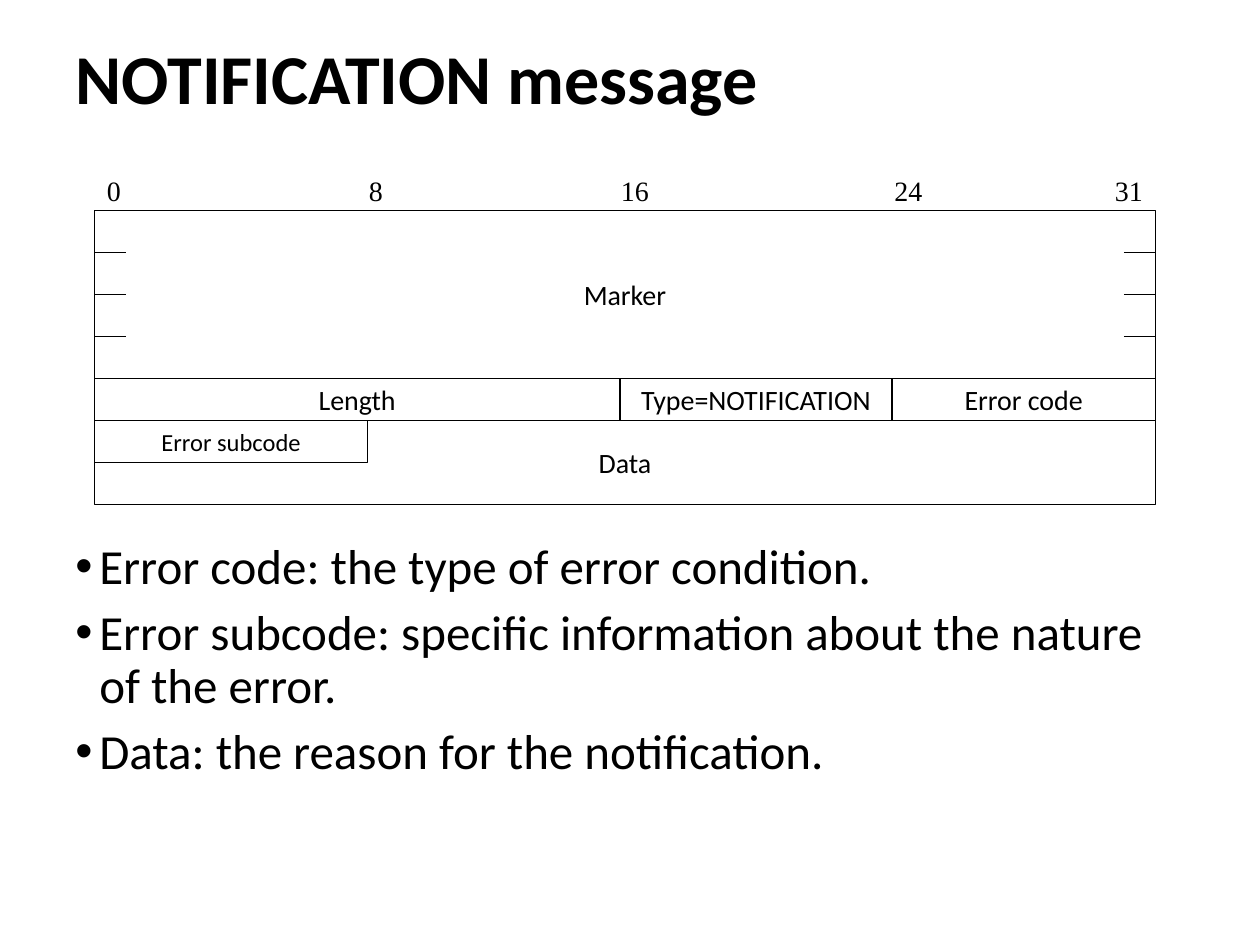
from lxml.etree import SubElement
from pptx import Presentation
from pptx.dml.color import RGBColor
from pptx.enum.shapes import MSO_CONNECTOR, MSO_SHAPE
from pptx.enum.text import MSO_ANCHOR, MSO_AUTO_SIZE, PP_ALIGN
from pptx.oxml.ns import qn
from pptx.util import Inches, Pt

BLACK = RGBColor(0, 0, 0)
BODY_FONT = "Calibri"
RULER_FONT = "Times New Roman"
LINE_WIDTH = Pt(0.75)

LEFT, RIGHT = 0.75, 9.17
TOP = 1.67
ROW = 1 / 3
TICK = 0.25

# Text, left edge, right edge, first row, rows, text size
FIELDS = [
    ("Marker", LEFT, RIGHT, 0, 4, 16),
    ("Length", LEFT, 4.92, 4, 1, 16),
    ("Type=NOTIFICATION", 4.92, 7.08, 4, 1, 16),
    ("Error code", 7.08, RIGHT, 4, 1, 16),
    ("Data", LEFT, RIGHT, 5, 2, 16),
    ("Error subcode", LEFT, 2.92, 5, 1, 14),
]
# Bit number, left edge, width
BIT_NUMBERS = [
    ("0", 0.75, 0.31),
    ("8", 2.83, 0.31),
    ("16", 4.83, 0.5),
    ("24", 7, 0.5),
    ("31", 8.75, 0.5),
]
EXPLANATIONS = [
    "Error code: the type of error condition.",
    "Error subcode: specific information about the nature of the error.",
    "Data: the reason for the notification.",
]


def apply(target, values):
    """Set each attribute named in a dict of format values."""
    for name, value in values.items():
        setattr(target, name, value)


def write(paragraph, text, size, font=BODY_FONT, bold=False, **layout):
    """Put formatted text into a paragraph."""
    run = paragraph.add_run()
    run.text = text
    apply(run.font, {"name": font, "size": Pt(size), "bold": bold})
    run.font.color.rgb = BLACK
    apply(paragraph, layout)


def add_title(slide, text):
    """Place and fill the title placeholder."""
    title = slide.shapes.title
    apply(title, {"left": Inches(0.5), "top": Inches(0.3),
                  "width": Inches(9), "height": Inches(1.25)})
    apply(title.text_frame, {"vertical_anchor": MSO_ANCHOR.TOP, "word_wrap": True,
                             "auto_size": MSO_AUTO_SIZE.NONE})
    write(title.text_frame.paragraphs[0], text, 40, bold=True,
          alignment=PP_ALIGN.LEFT, line_spacing=0.9)


def add_field(shapes, text, left, right, row, rows, size):
    """Draw one message field as an outlined box."""
    field = shapes.add_shape(
        MSO_SHAPE.RECTANGLE, Inches(left), Inches(TOP + row * ROW),
        Inches(right - left), Inches(rows * ROW))
    field.shadow.inherit = False
    field.fill.background()
    field.line.color.rgb = BLACK
    field.line.width = LINE_WIDTH
    apply(field.text_frame, {"word_wrap": False, "vertical_anchor": MSO_ANCHOR.MIDDLE})
    write(field.text_frame.paragraphs[0], text, size, alignment=PP_ALIGN.CENTER)


def add_tick(shapes, left, y):
    """Draw a short row mark at the edge of the marker field."""
    tick = shapes.add_connector(MSO_CONNECTOR.STRAIGHT, Inches(left), Inches(y),
                                Inches(left + TICK), Inches(y))
    tick.line.color.rgb = BLACK
    tick.line.width = LINE_WIDTH
    SubElement(tick._element.spPr, qn("a:effectLst"))


def add_bit_number(shapes, text, left, width):
    """Write a bit position above the message."""
    label = shapes.add_textbox(Inches(left), Inches(1.33), Inches(width), Inches(0.37))
    apply(label.text_frame, {"word_wrap": True,
                             "auto_size": MSO_AUTO_SIZE.SHAPE_TO_FIT_TEXT})
    write(label.text_frame.paragraphs[0], text, 16, RULER_FONT)


def add_message_format(slide):
    """Draw the message layout as one group."""
    shapes = slide.shapes.add_group_shape().shapes
    for field in FIELDS:
        add_field(shapes, *field)
    for left in (LEFT, RIGHT - TICK):
        for row in range(1, 4):
            add_tick(shapes, left, TOP + row * ROW)
    for bit_number in BIT_NUMBERS:
        add_bit_number(shapes, *bit_number)


def add_bullets(slide, items):
    """Write the bulleted explanations."""
    frame = slide.shapes.add_textbox(
        Inches(0.5), Inches(4.25), Inches(9), Inches(2.45)).text_frame
    frame.word_wrap = True
    for index, item in enumerate(items):
        paragraph = frame.add_paragraph() if index else frame.paragraphs[0]
        write(paragraph, item, 28, line_spacing=0.9, space_before=Pt(7.5))
        properties = paragraph._p.get_or_add_pPr()
        properties.set("marL", str(Inches(0.19)))
        properties.set("indent", str(-Inches(0.19)))
        SubElement(properties, qn("a:buFont"), typeface="Arial")
        SubElement(properties, qn("a:buChar"), char="•")


def main():
    """Build and save the slide."""
    deck = Presentation()
    apply(deck, {"slide_width": Inches(10), "slide_height": Inches(7.5)})
    slide = deck.slides.add_slide(deck.slide_layouts[5])
    add_title(slide, "NOTIFICATION message")
    add_bullets(slide, EXPLANATIONS)
    add_message_format(slide)
    deck.save("out.pptx")


main()
